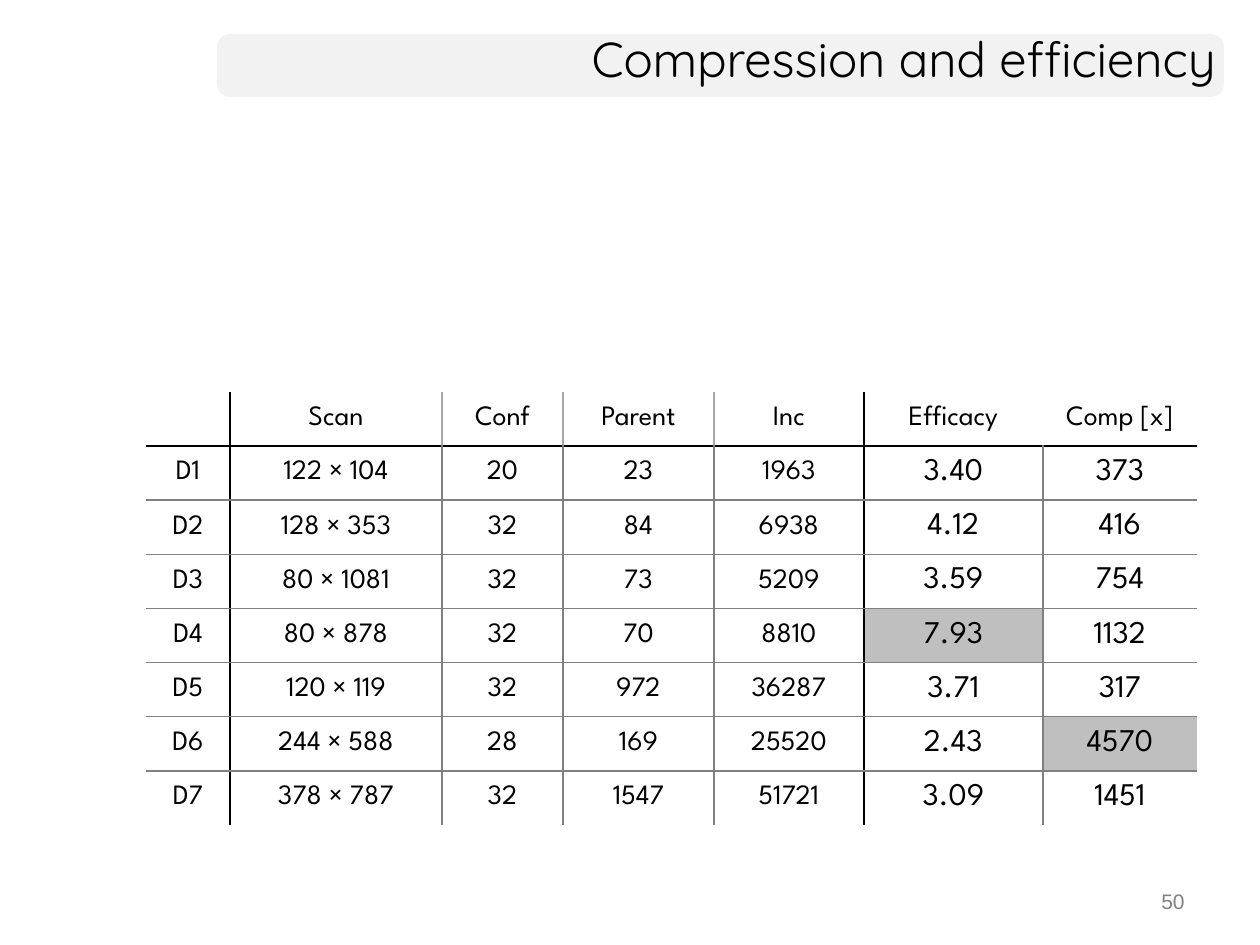
from lxml import etree
from pptx import Presentation
from pptx.dml.color import RGBColor
from pptx.enum.shapes import MSO_SHAPE
from pptx.enum.text import MSO_ANCHOR, PP_ALIGN
from pptx.oxml.ns import qn
from pptx.util import Emu, Pt

ROUNDED = MSO_SHAPE.ROUNDED_RECTANGLE
MIDDLE, TOP = MSO_ANCHOR.MIDDLE, MSO_ANCHOR.TOP
CENTER, RIGHT = PP_ALIGN.CENTER, PP_ALIGN.RIGHT

COLORS = {"text": "000000", "band": "F2F2F2", "number": "808080",
          "rule": "808080", "header rule": "A6A6A6", "highlight": "BFBFBF"}

TITLE = "Compression and efficiency"
PAGE_NUMBER = "50"
ROWS = [
    ("", "Scan", "Conf", "Parent", "Inc", "Efficacy", "Comp [x]"),
    ("D1", "122 × 104", "20", "23", "1963", "3.40", "373"),
    ("D2", "128 × 353", "32", "84", "6938", "4.12", "416"),
    ("D3", "80 × 1081", "32", "73", "5209", "3.59", "754"),
    ("D4", "80 × 878", "32", "70", "8810", "7.93", "1132"),
    ("D5", "120 × 119", "32", "972", "36287", "3.71", "317"),
    ("D6", "244 × 588", "28", "169", "25520", "2.43", "4570"),
    ("D7", "378 × 787", "32", "1547", "51721", "3.09", "1451"),
]
COLUMN_WIDTHS = [84, 212, 121, 151, 150, 179, 154]
TABLE_LEFT, TABLE_TOP, TABLE_HEIGHT = 146, 392, 433
HIGHLIGHTS = {"7.93", "4570"}
GROUP_ENDS = {0, 4}  # columns followed by a heavy rule
FIRST_RESULT = 5     # columns from here on hold results
HEAVY = (1.5, "text")
LIGHT = (1, "rule")
HEADER_LIGHT = (1, "header rule")


def px(length):
    return Emu(round(length * 914400 / 126))


def rgb(name):
    return RGBColor.from_string(COLORS[name])


def style(para, font, size, color, align):
    para.alignment = align
    for span in para.runs:
        span.font.name = font
        span.font.size = Pt(size)
        span.font.color.rgb = rgb(color)


def add_text(page, area, text, font, size, color, anchor):
    box = page.shapes.add_textbox(*map(px, area))
    box.text_frame.word_wrap = True
    box.text_frame.vertical_anchor = anchor
    para = box.text_frame.paragraphs[0]
    para.text = text
    style(para, font, size, color, RIGHT)
    return para


def rule_after_column(row, column):
    """Vertical rule on the right of a column, or None where there is none."""
    if column in GROUP_ENDS:
        return HEAVY
    if not 0 <= column < len(COLUMN_WIDTHS) - 1:
        return None
    if row == 0:
        return HEADER_LIGHT if column < FIRST_RESULT else None
    return LIGHT


def rule_below_row(row):
    if row == 0:
        return HEAVY
    return LIGHT if 0 < row < len(ROWS) - 1 else None


def set_borders(cell, row, column):
    properties = cell._tc.get_or_add_tcPr()
    borders = {
        "lnL": rule_after_column(row, column - 1),
        "lnR": rule_after_column(row, column),
        "lnT": rule_below_row(row - 1),
        "lnB": rule_below_row(row),
    }
    for tag, rule in borders.items():
        line = etree.SubElement(properties, qn("a:" + tag))
        if rule is None:
            etree.SubElement(line, qn("a:noFill"))
            continue
        width, color = rule
        line.set("w", str(Pt(width)))
        fill = etree.SubElement(line, qn("a:solidFill"))
        etree.SubElement(fill, qn("a:srgbClr"), val=COLORS[color])


def add_results(page):
    area = (TABLE_LEFT, TABLE_TOP, sum(COLUMN_WIDTHS), TABLE_HEIGHT)
    table = page.shapes.add_table(
        len(ROWS), len(COLUMN_WIDTHS), *map(px, area)).table
    table.first_row = table.horz_banding = False
    for column, width in zip(table.columns, COLUMN_WIDTHS):
        column.width = px(width)
    for r, values in enumerate(ROWS):
        for c, value in enumerate(values):
            cell = table.cell(r, c)
            set_borders(cell, r, c)
            if value in HIGHLIGHTS:
                cell.fill.solid()
                cell.fill.fore_color.rgb = rgb("highlight")
            else:
                cell.fill.background()
            cell.vertical_anchor = MIDDLE
            para = cell.text_frame.paragraphs[0]
            para.text = value
            size = 18 if r > 0 and c >= FIRST_RESULT else 16
            style(para, "League Spartan", size, "text", CENTER)


def main():
    deck = Presentation()
    deck.slide_width, deck.slide_height = px(1260), px(945)
    page = deck.slides.add_slide(deck.slide_layouts[6])

    band = page.shapes.add_shape(ROUNDED, *map(px, (217, 34, 1007, 63)))
    band.adjustments[0] = 0.21
    band.shadow.inherit = False
    band.fill.solid()
    band.fill.fore_color.rgb = rgb("band")
    band.line.fill.background()

    add_text(page, (903, 882, 294, 44), PAGE_NUMBER, "Arial", 12, "number", TOP)
    title = add_text(page, (94, 21, 1134, 84), TITLE, "Quicksand", 28, "text",
                     MIDDLE)
    title.line_spacing = 0.85
    add_results(page)
    deck.save("out.pptx")


if __name__ == "__main__":
    main()
